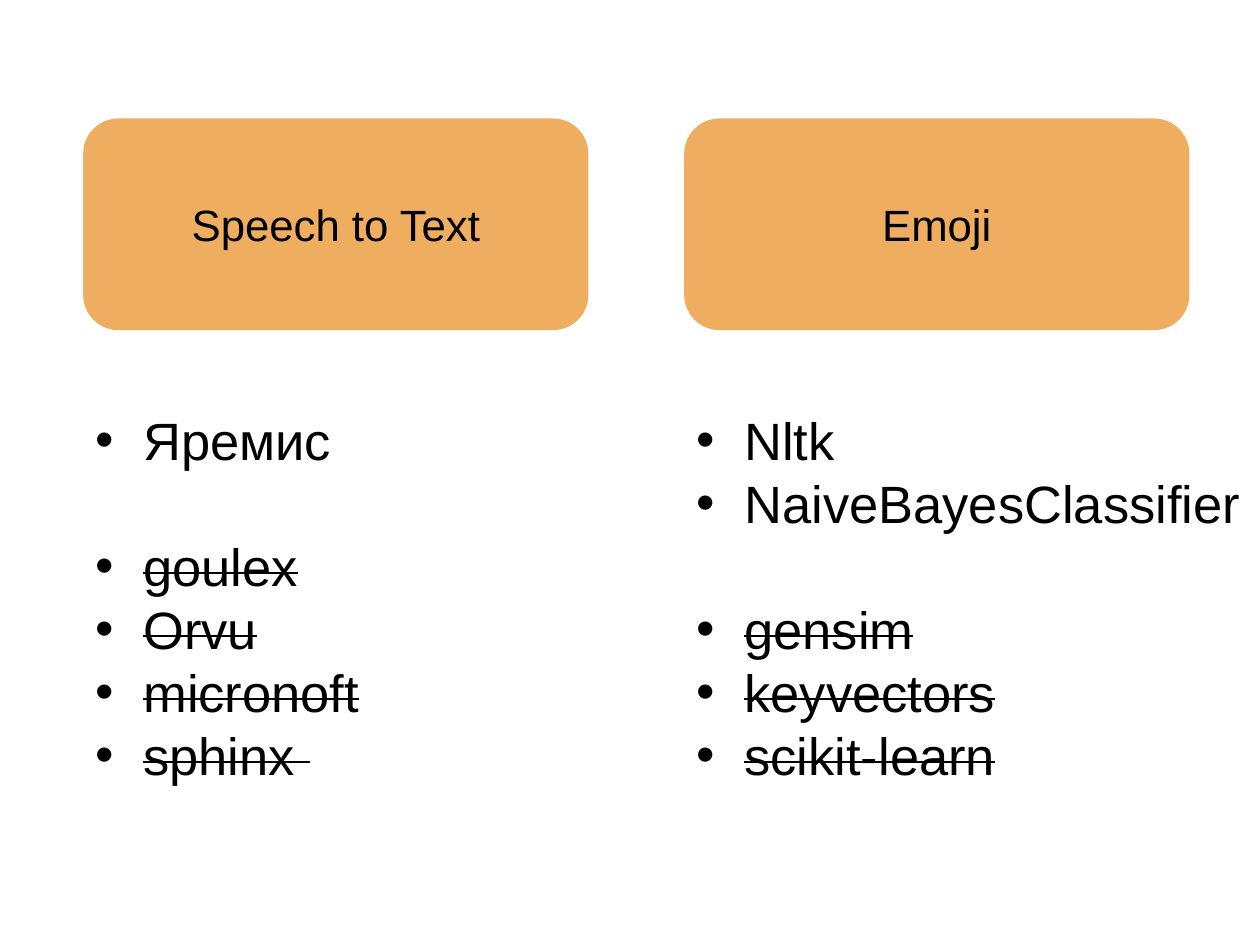
from lxml.etree import SubElement
from pptx import Presentation
from pptx.dml.color import RGBColor
from pptx.enum.shapes import MSO_SHAPE
from pptx.enum.text import MSO_ANCHOR, PP_ALIGN
from pptx.oxml.ns import qn
from pptx.util import Inches, Pt

COLUMNS = [
    {"title": "Speech to Text", "used": ["Яремис"],
     "rejected": ["goulex", "Orvu", "micronoft", "sphinx "], "height": 3.13},
    {"title": "Emoji", "used": ["Nltk", "NaiveBayesClassifier"],
     "rejected": ["gensim", "keyvectors", "scikit-learn"], "height": 3.64},
]

THEME = {
    "font": "Arial",
    "text": RGBColor(0x00, 0x00, 0x00),
    "card": RGBColor(0xEF, 0xAE, 0x5F),
    "title_size": 25,
    "list_size": 30,
    "line_pitch": 36,
}

LEFT, COLUMN_WIDTH = 0.66, 4.77
CARD_TOP, CARD_WIDTH, CARD_HEIGHT = 0.94, 4.01, 1.68
LIST_TOP, INDENT = 3.19, 0.38


def write(p, text, size, strike=False, align=None):
    p.alignment = align
    r = p.add_run()
    r.text = text
    r.font.name = THEME["font"]
    r.font.size = Pt(size)
    r.font.color.rgb = THEME["text"]
    if strike:
        r.font._element.set("strike", "sngStrike")


def add_bullet(p):
    pPr = p._p.get_or_add_pPr()
    pPr.set("marL", str(Inches(INDENT)))
    pPr.set("indent", str(-Inches(INDENT)))
    SubElement(pPr, qn("a:buFont"), typeface=THEME["font"])
    SubElement(pPr, qn("a:buChar"), char="•")


def add_card(slide, x, title):
    sp = slide.shapes.add_shape(
        MSO_SHAPE.ROUNDED_RECTANGLE, Inches(x), Inches(CARD_TOP),
        Inches(CARD_WIDTH), Inches(CARD_HEIGHT))
    sp.shadow.inherit = False
    sp.fill.solid()
    sp.fill.fore_color.rgb = THEME["card"]
    sp.line.fill.background()
    tf = sp.text_frame
    tf.vertical_anchor = MSO_ANCHOR.MIDDLE
    write(tf.paragraphs[0], title, THEME["title_size"], align=PP_ALIGN.CENTER)


def add_list(slide, x, used, rejected, height):
    """List the used tools, then, one line lower, the rejected ones struck out."""
    tf = slide.shapes.add_textbox(
        Inches(x), Inches(LIST_TOP), Inches(COLUMN_WIDTH), Inches(height)).text_frame
    tf.word_wrap = True
    for i, text in enumerate(used + rejected):
        p = tf.add_paragraph() if i else tf.paragraphs[0]
        p.line_spacing = Pt(THEME["line_pitch"])
        if i == len(used):
            p.space_before = Pt(THEME["line_pitch"])
        add_bullet(p)
        write(p, text, THEME["list_size"], strike=i >= len(used))


def main():
    prs = Presentation()
    prs.slide_width, prs.slide_height = Inches(10), Inches(7.5)
    slide = prs.slides.add_slide(prs.slide_layouts[6])
    for i, column in enumerate(COLUMNS):
        x = LEFT + i * COLUMN_WIDTH
        add_card(slide, x, column["title"])
        add_list(slide, x, column["used"], column["rejected"], column["height"])
    prs.save("out.pptx")


if __name__ == "__main__":
    main()
